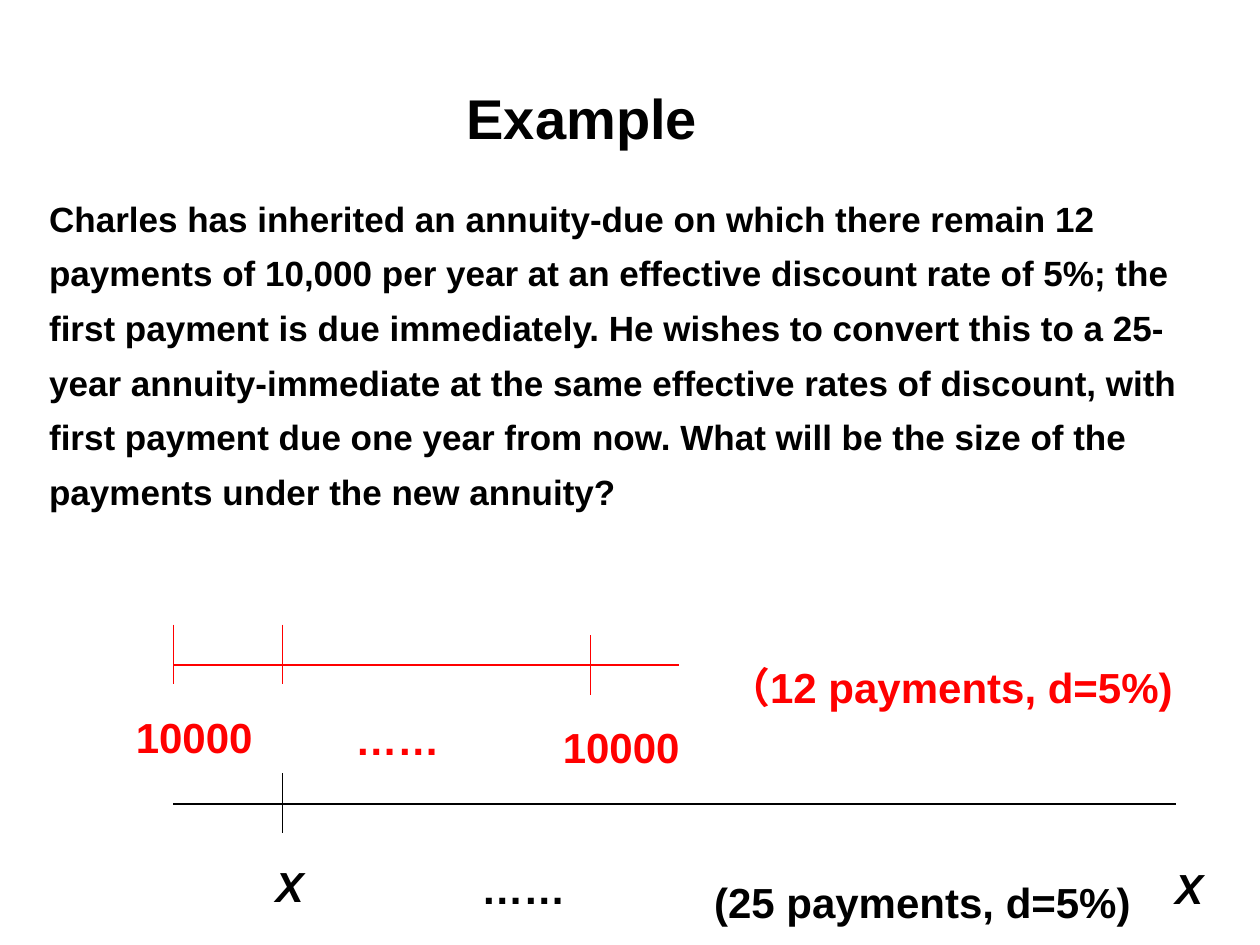
from pptx import Presentation
from pptx.dml.color import RGBColor
from pptx.enum import shapes, text
from pptx.oxml import ns
from pptx.util import Pt
from lxml import etree

COLORS = {"black": "000000", "red": "FF0000"}
QUESTION = (
    "Charles has inherited an annuity-due on which there remain 12 payments "
    "of 10,000 per year at an effective discount rate of 5%; the first payment "
    "is due immediately. He wishes to convert this to a 25-year "
    "annuity-immediate at the same effective rates of discount, with first "
    "payment due one year from now. What will be the size of the payments "
    "under the new annuity?"
)
TICK = 34


def write(tf, words, size, color="black", italic=False):
    p = tf.paragraphs[0]
    r = p.add_run()
    r.text = words
    r.font.name = "Arial"
    r.font.size = Pt(size)
    r.font.bold = True
    r.font.italic = italic
    r.font.color.rgb = RGBColor.from_string(COLORS[color])
    return p


def add_title(s, words):
    sp = s.shapes.title
    sp.left, sp.top, sp.width, sp.height = Pt(40), Pt(44.5), Pt(594), Pt(45)
    tf = sp.text_frame
    tf.vertical_anchor = text.MSO_ANCHOR.MIDDLE
    write(tf, words, 32).alignment = text.PP_ALIGN.CENTER


def add_question(s, words):
    tf = s.shapes.add_textbox(Pt(21), Pt(102), Pt(693), Pt(207)).text_frame
    tf.word_wrap = True
    write(tf, words, 20).line_spacing = 1.3


def add_label(s, words, x, y, w, color, italic=False, wrap=False):
    tf = s.shapes.add_textbox(Pt(x), Pt(y), Pt(w), Pt(48)).text_frame
    tf.word_wrap = wrap
    p = write(tf, words, 24, color, italic)
    p.line_spacing = 1.4
    p.space_before = Pt(2.4)


def add_line(s, x1, y1, x2, y2, color, width=0.75):
    line = s.shapes.add_connector(
        shapes.MSO_CONNECTOR.STRAIGHT, Pt(x1), Pt(y1), Pt(x2), Pt(y2))
    line.line.color.rgb = RGBColor.from_string(COLORS[color])
    line.line.width = Pt(width)
    etree.SubElement(line._element.spPr, ns.qn("a:effectLst"))


def add_timeline(s, x1, x2, y, ticks, color, width):
    add_line(s, x1, y, x2, y, color, width)
    for x, top in ticks:
        add_line(s, x, top, x, top + TICK, color)


def main():
    prs = Presentation()
    prs.slide_width, prs.slide_height = Pt(720), Pt(540)
    s = prs.slides.add_slide(prs.slide_layouts[5])
    add_title(s, "Example ")
    add_question(s, QUESTION)

    add_timeline(s, 99, 388, 380, [(99, 357), (161.5, 357), (337.5, 363)], "red", 1)
    add_timeline(s, 99, 672, 459.5, [(161.5, 442)], "black", 0.75)

    add_label(s, "10000", 70.5, 391.5, 82, "red")
    add_label(s, "……", 196, 392.5, 63, "red")
    add_label(s, "10000", 314.5, 397, 82, "red")
    add_label(s, "（12 payments, d=5%)", 409, 363, 271, "red", wrap=True)

    add_label(s, "X", 150.5, 476.5, 31, "black", italic=True)
    add_label(s, "……", 268, 478, 63, "black")
    add_label(s, "(25 payments, d=5%)", 401, 486, 263.5, "black")
    add_label(s, "X", 664.5, 478, 31, "black", italic=True)
    prs.save("out.pptx")


if __name__ == "__main__":
    main()
